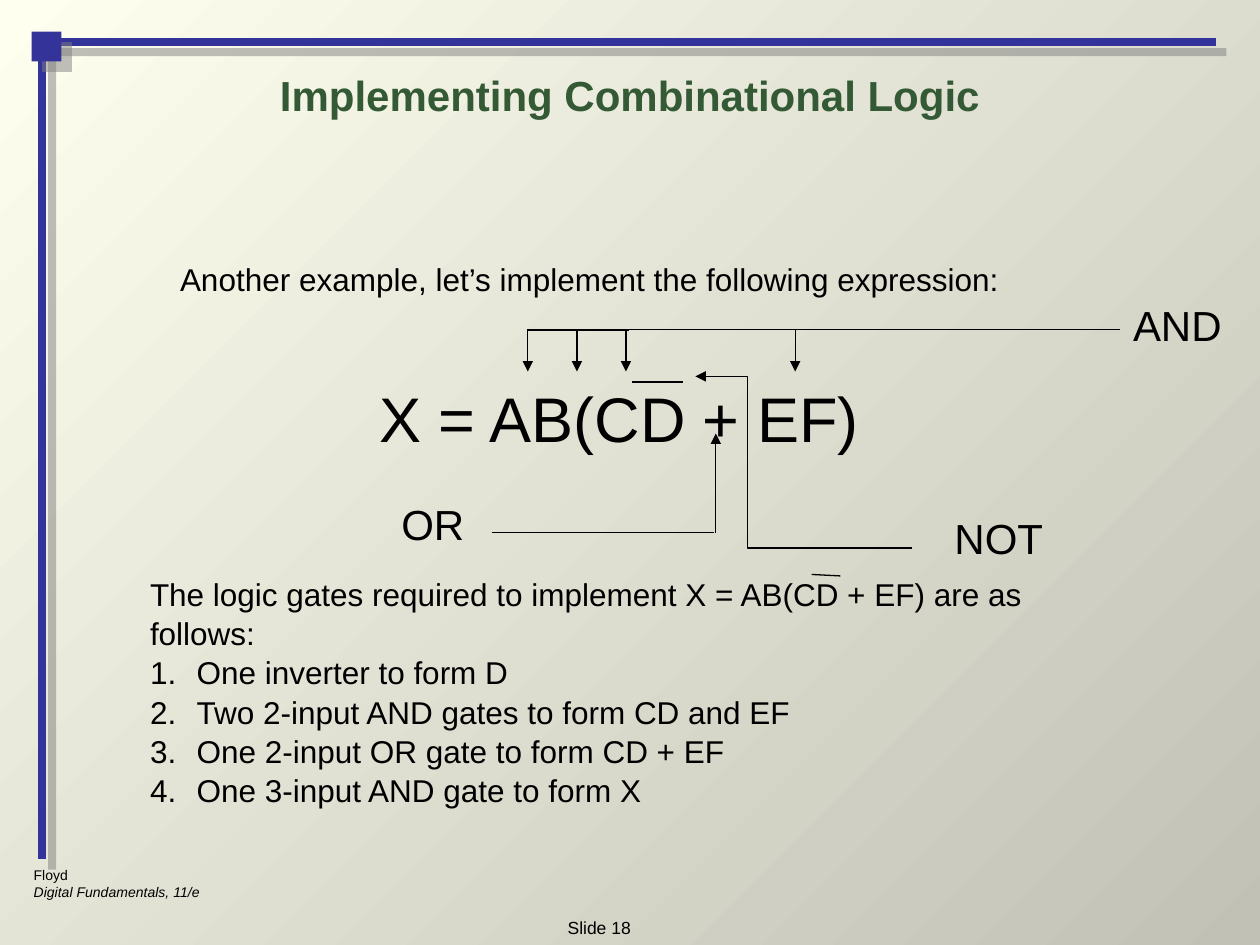
from lxml import etree
from pptx import Presentation
from pptx import util as u
from pptx.dml.color import RGBColor
from pptx.enum import shapes, text
from pptx.oxml import parse_xml
from pptx.oxml.ns import nsdecls, qn

SHADOW = (f'<a:effectLst {nsdecls("a")}><a:outerShdw dist="107950" dir="2700000" '
          'algn="ctr" rotWithShape="0"><a:srgbClr val="808080"><a:alpha val="50000"/>'
          '</a:srgbClr></a:outerShdw></a:effectLst>')
NO_EFFECT = f'<a:effectLst {nsdecls("a")}/>'


def rgb(color):
    return RGBColor.from_string(color)


class LogicSlide:
    """Holds the style and the slide that the methods draw on."""

    font = "Arial"
    ink = "000000"
    frame_color = "333399"
    title_color = "345A35"
    spacing = 1.04

    def __init__(self, deck):
        self.slide = deck.slides.add_slide(deck.slide_layouts[1])

    def background(self, start, end):
        fill = self.slide.background.fill
        fill.gradient()
        fill.gradient_angle = 315
        for stop, color in zip(fill.gradient_stops, (start, end)):
            stop.color.rgb = rgb(color)

    def format(self, paragraph, size, color=None, bold=False, align=text.PP_ALIGN.LEFT):
        paragraph.alignment = align
        paragraph.space_before = u.Pt(0)
        for run in paragraph.runs:
            run.font.name = self.font
            run.font.size = u.Pt(size)
            run.font.bold = bold
            run.font.color.rgb = rgb(color or self.ink)

    def place(self, holder, left, top, width, height):
        holder.left, holder.top = u.Cm(left), u.Cm(top)
        holder.width, holder.height = u.Cm(width), u.Cm(height)
        holder.text_frame.auto_size = text.MSO_AUTO_SIZE.NONE

    def title(self, wording, *box):
        heading = self.slide.shapes.title
        self.place(heading, *box)
        heading.text_frame.text = wording
        heading.text_frame.vertical_anchor = text.MSO_ANCHOR.MIDDLE
        self.format(heading.text_frame.paragraphs[0], 24, self.title_color, True,
                    text.PP_ALIGN.CENTER)

    def numbered_list(self, intro, items, *box):
        body = self.slide.placeholders[1]
        self.place(body, *box)
        body.text_frame.text = "\n".join([intro] + items)
        for index, paragraph in enumerate(body.text_frame.paragraphs):
            props = paragraph._p.get_or_add_pPr()
            hang = u.Cm(0.94) if index else 0
            props.set("marL", str(hang))
            props.set("indent", str(-hang))
            if index:
                color = etree.SubElement(props, qn("a:buClr"))
                etree.SubElement(color, qn("a:srgbClr"), val=self.ink)
                etree.SubElement(props, qn("a:buFont"), typeface=self.font)
                etree.SubElement(props, qn("a:buAutoNum"), type="arabicPeriod")
            else:
                etree.SubElement(props, qn("a:buNone"))
            self.format(paragraph, 18)
            paragraph.line_spacing = self.spacing

    def label(self, wording, size, *box, align=text.PP_ALIGN.CENTER):
        frame = self.slide.shapes.add_textbox(*map(u.Cm, box)).text_frame
        frame.word_wrap = True
        frame.text = wording
        for paragraph in frame.paragraphs:
            self.format(paragraph, size, align=align)
        return frame.paragraphs

    def line(self, start, end, color=None, width=0.75, arrow=False, bend=None,
             shadow=False):
        """Draw a connector; bend is the share of the width before it turns."""
        kind = shapes.MSO_CONNECTOR.STRAIGHT if bend is None else shapes.MSO_CONNECTOR.ELBOW
        link = self.slide.shapes.add_connector(kind, *map(u.Cm, start + end))
        link.line.color.rgb = rgb(color or self.ink)
        link.line.width = u.Pt(width)
        if arrow:
            etree.SubElement(link.line._get_or_add_ln(), qn("a:tailEnd"), type="triangle")
        props = link._element.spPr
        if bend is not None:
            guides = props.find(qn("a:prstGeom")).get_or_add_avLst()
            etree.SubElement(guides, qn("a:gd"), name="adj1",
                             fmla=f"val {round(bend * 100000)}")
        props.append(parse_xml(SHADOW if shadow else NO_EFFECT))

    def corner(self, *box):
        square = self.slide.shapes.add_shape(shapes.MSO_SHAPE.RECTANGLE, *map(u.Cm, box))
        square.fill.solid()
        square.fill.fore_color.rgb = rgb(self.frame_color)
        square.line.fill.background()
        square._element.spPr.append(parse_xml(SHADOW))


def main():
    deck = Presentation()
    deck.slide_width, deck.slide_height = u.Cm(25.4), u.Cm(19.05)
    page = LogicSlide(deck)
    page.background("FFFFF0", "C1C1B5")

    credit = page.label("Floyd\vDigital Fundamentals, 11/e", 8, 0.43, 17.35, 12.27, 0.94,
                        align=text.PP_ALIGN.LEFT)
    credit[0].runs[1].font.italic = True
    page.label("Slide 18", 10, 9.96, 18.36, 4.24, 0.69)

    for rule_end in ((24.51, 0.84), (0.84, 17.32)):
        page.line((0.84, 0.84), rule_end, page.frame_color, 4.5, shadow=True)
    page.corner(0.64, 0.64, 0.6, 0.6)
    page.title("Implementing Combinational Logic", 1.27, 1.27, 22.86, 1.27)

    lead, expression = page.label(
        "Another example, let’s implement the following expression:\nX = AB(CD + EF)",
        18, 3.38, 5.08, 18.21, 4.83, align=text.PP_ALIGN.LEFT)
    page.format(expression, 36, align=text.PP_ALIGN.CENTER)
    expression.space_before = u.Pt(45)
    lead.line_spacing = expression.line_spacing = page.spacing

    and_top, and_tip = 6.65, 7.49
    page.line((22.58, and_top), (12.62, and_tip), arrow=True, bend=1)
    for operand in (10.64, 11.63, 16.03):
        page.line((operand, and_top), (operand, and_tip), arrow=True)
    page.line((12.67, and_top), (10.62, and_top))

    page.line((18.39, 11.05), (14.02, 7.59), arrow=True, bend=0.76)
    page.line((14.43, 10.74), (14.43, 8.74), arrow=True)
    page.line((9.91, 10.74), (14.4, 10.74))

    page.numbered_list(
        "The logic gates required to implement X = AB(CD + EF) are as follows:",
        ["One inverter to form D",
         "Two 2-input AND gates to form CD and EF",
         "One 2-input OR gate to form CD + EF",
         "One 3-input AND gate to form X"],
        2.77, 11.43, 20.35, 4.06)

    for gate, left, top in (("AND", 22.45, 5.92), ("NOT", 18.85, 10.21), ("OR", 7.44, 9.93)):
        page.label(gate, 24, left, top, 2.57, 1.4)

    for bar_start, bar_end in (((12.75, 7.7), (13.77, 7.7)), ((16.36, 11.58), (16.94, 11.61))):
        page.line(bar_start, bar_end)

    deck.save("out.pptx")


if __name__ == "__main__":
    main()
